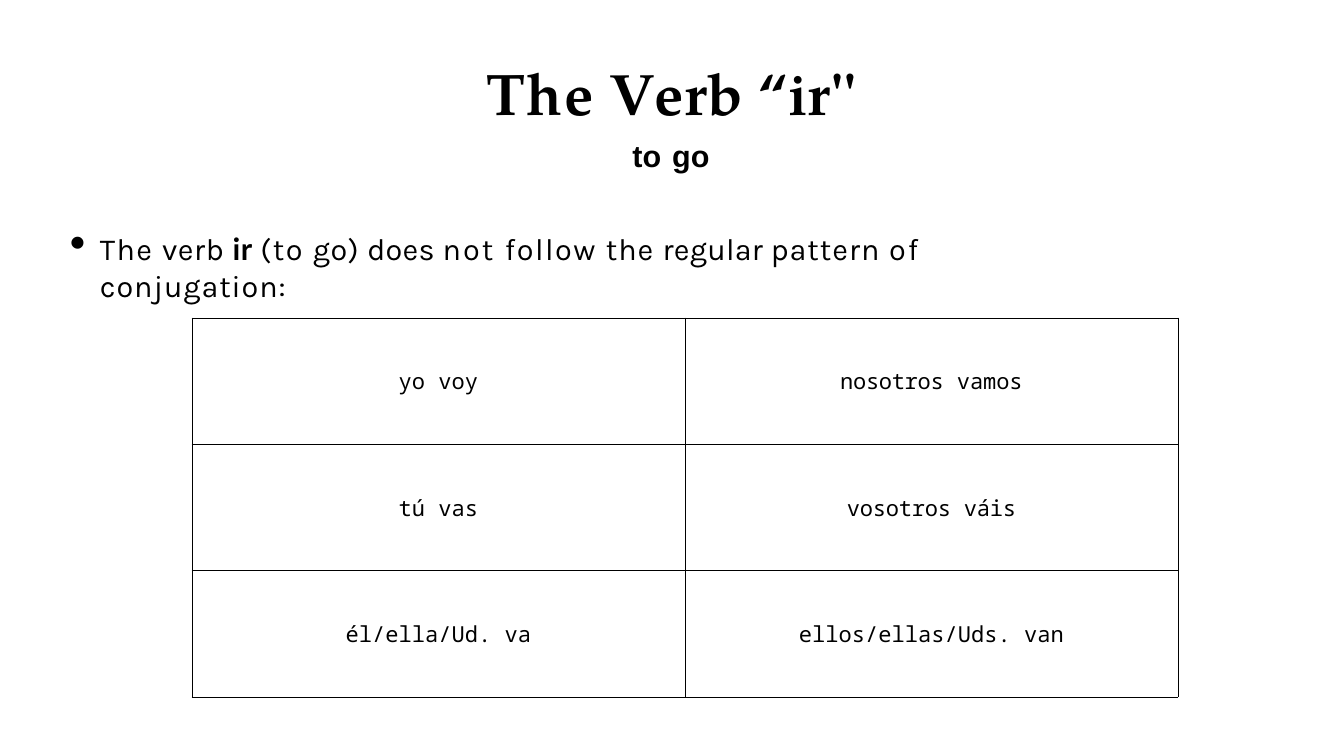
from lxml import etree
from pptx import Presentation
from pptx.dml.color import RGBColor
from pptx.enum.text import MSO_ANCHOR, PP_ALIGN
from pptx.oxml.ns import qn
from pptx.util import Pt

PX = 914400 / 61.1
BLACK = "000000"


def px(n):
    return round(n * PX)


def add_runs(p, runs, color=BLACK, **fmt):
    for text, spc, *extra in runs:
        r = p.add_run()
        r.text = text
        for key, value in {**fmt, **(extra[0] if extra else {})}.items():
            setattr(r.font, key, value)
        r.font.color.rgb = RGBColor.from_string(color)
        r._r.get_or_add_rPr().set("spc", str(round(spc * 100)))


prs = Presentation()
prs.slide_width, prs.slide_height = px(1344), px(756)
s = prs.slides.add_slide(prs.slide_layouts[6])

frames = []
for box, top in [((318, 39, 706, 136), 18), ((69, 229, 1004, 38), 1)]:
    tf = s.shapes.add_textbox(*map(px, box)).text_frame
    margins = {"margin_left": 0, "margin_right": 0, "margin_bottom": 0,
               "margin_top": px(top), "word_wrap": True}
    for key, value in margins.items():
        setattr(tf, key, value)
    frames.append(tf)
title, body = frames

p = title.paragraphs[0]
p.alignment, p.space_before = PP_ALIGN.CENTER, Pt(21.6)
add_runs(p, [("T", 1.5), ("h", 1.6), ("e ", 0.8), ("V", -11.4), ("e", 0.5),
             ("r", -0.7), ("b ", 0.7), ("“", -4.6), ("i", -4), ("r", 1.6),
             ('"', -1.9)],
         name="TeX Gyre Pagella", size=Pt(69), bold=True)
p = title.add_paragraph()
p.alignment, p.space_before = PP_ALIGN.CENTER, Pt(10.9)
add_runs(p, [("t", 0.3), ("o ", 1.3), ("go", 0.3)],
         name="Arial", size=Pt(36), bold=True)

p = body.paragraphs[0]
p.space_before = Pt(1.2)
pPr = p._p.get_or_add_pPr()
pPr.set("marL", str(px(31)))
pPr.set("indent", str(px(-30)))
etree.SubElement(pPr, qn("a:buSzPct")).set("val", "151000")
etree.SubElement(pPr, qn("a:buChar")).set("char", "•")
add_runs(p, [("The ", 1.6), ("verb ", 0.7),
             ("ir ", 0.8, {"name": "Lato", "bold": True}),
             ("(to ", 1.8), ("go) ", 0.7), ("does ", 0.3), ("not ", 2.5),
             ("follow ", 1.8), ("the ", 1.1), ("regular ", 0.3),
             ("pattern ", 1.2), ("of ", 2.5), ("conjugation:", 1.1)],
         name="Karla", size=Pt(36), bold=False)

conjugation = [
    [[("yo ", -0.1), ("voy", 0.1)], [("nosotros ", -0.4), ("vamos", -0.1)]],
    [[("tú vas", 0)], [("vosotros váis", -0.3)]],
    [[("él", 0), ("/", -1.9), ("ella/Ud. va", 0)],
     [("ello", 0), ("s", -0.3), ("/", -1.9), ("ella", 0), ("s", -0.3),
      ("/Uds. van", 0)]],
]
table = s.shapes.add_table(3, 2, *map(px, (192, 318, 986, 379))).table
table.first_row = table.horz_banding = False
cell_format = {"margin_left": 0, "margin_right": 0, "margin_top": 0,
               "margin_bottom": 0, "vertical_anchor": MSO_ANCHOR.MIDDLE}
for i, row in enumerate(conjugation):
    for j, runs in enumerate(row):
        cell = table.cell(i, j)
        for key, value in cell_format.items():
            setattr(cell, key, value)
        tcPr = cell._tc.get_or_add_tcPr()
        for side in ("lnL", "lnR", "lnT", "lnB"):
            ln = etree.SubElement(tcPr, qn("a:" + side), w=str(Pt(1)))
            fill = etree.SubElement(ln, qn("a:solidFill"))
            etree.SubElement(fill, qn("a:srgbClr")).set("val", BLACK)
        cell.fill.background()
        p = cell.text_frame.paragraphs[0]
        p.alignment = PP_ALIGN.CENTER
        add_runs(p, runs, name="Noto Sans Mono", size=Pt(26), bold=False)

prs.save("out.pptx")
